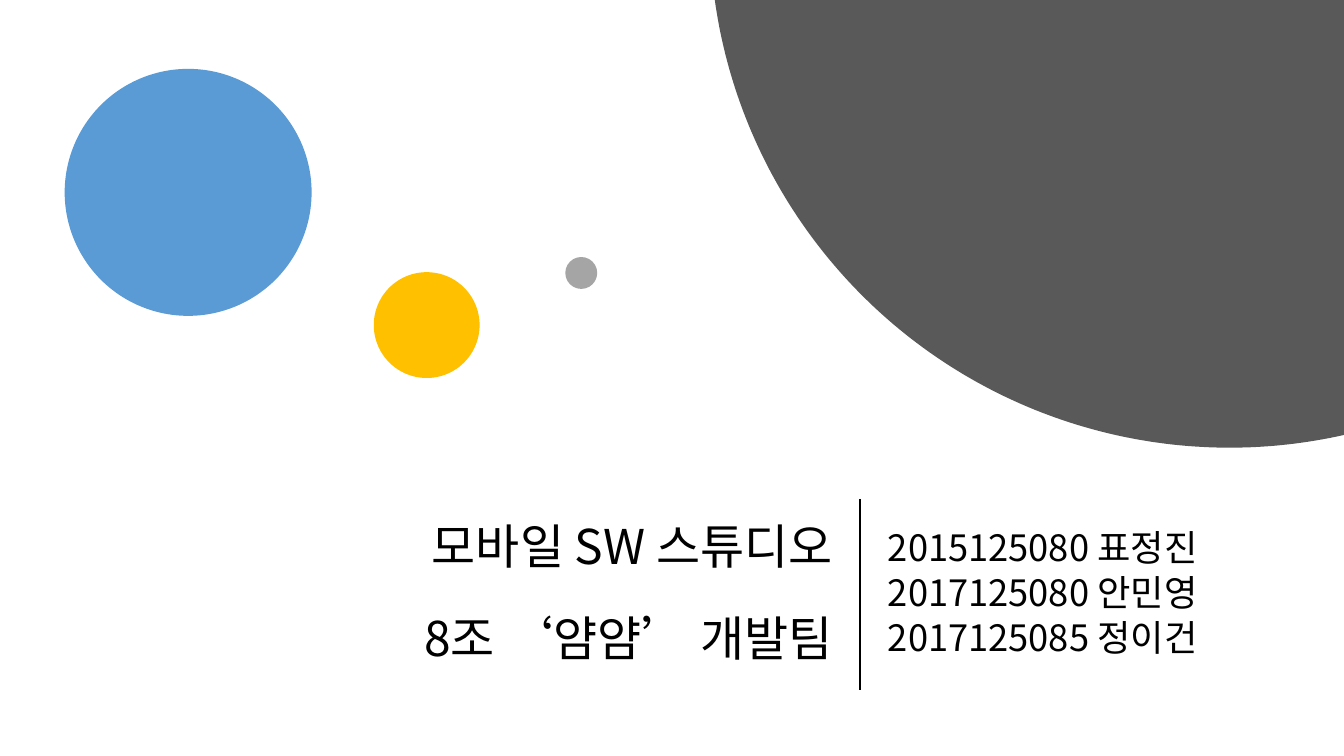
"""Builds the title slide of the mobile software studio team."""
from dataclasses import dataclass
from math import acos, asin, cos, sin

from lxml.etree import SubElement
from pptx import Presentation
from pptx.dml.color import RGBColor
from pptx.enum.shapes import MSO_CONNECTOR, MSO_SHAPE
from pptx.enum.text import MSO_ANCHOR, MSO_AUTO_SIZE, PP_ALIGN
from pptx.oxml.ns import qn
from pptx.util import Inches, Pt

COLUMNS, ROWS = 160, 90


@dataclass(frozen=True)
class Theme:
    font: str = "Noto Sans CJK KR"
    ink: str = "000000"
    blue: str = "5B9BD5"
    yellow: str = "FFC000"
    silver: str = "A5A5A5"
    charcoal: str = "595959"
    title_size: float = 34.2
    member_size: float = 25.9
    rule_width: float = 1.5


def write_paragraph(paragraph, text, *, font, size, color, align, before=0):
    paragraph.alignment = align
    paragraph.line_spacing = 0.9
    paragraph.space_before = Pt(before)
    span = paragraph.add_run()
    span.text = text
    span.font.name = font
    span.font.size = Pt(size)
    span.font.color.rgb = RGBColor.from_string(color)
    SubElement(span.font._element, qn("a:ea"), typeface=font)


class Page:
    def __init__(self, deck, theme):
        self.theme = theme
        self.slide = deck.slides.add_slide(deck.slide_layouts[0])
        self.column = deck.slide_width / COLUMNS
        self.row = deck.slide_height / ROWS

    def point(self, column, row):
        return round(column * self.column), round(row * self.row)

    def paint(self, shape, color):
        shape.shadow.inherit = False
        shape.fill.solid()
        shape.fill.fore_color.rgb = RGBColor.from_string(color)
        shape.line.fill.background()

    def text(self, box, lines, place, *, size, align, gap):
        box.left, box.top = self.point(*place[:2])
        box.width, box.height = self.point(*place[2:])
        frame = box.text_frame
        frame.word_wrap = True
        frame.auto_size = MSO_AUTO_SIZE.NONE
        frame.vertical_anchor = MSO_ANCHOR.MIDDLE
        for index, line in enumerate(lines):
            paragraph = frame.add_paragraph() if index else frame.paragraphs[0]
            write_paragraph(paragraph, line, font=self.theme.font, size=size,
                            color=self.theme.ink, align=align,
                            before=gap if index else 0)

    def circle(self, left, top, diameter, color):
        circle = self.slide.shapes.add_shape(
            MSO_SHAPE.OVAL, *self.point(left, top),
            *self.point(diameter, diameter))
        self.paint(circle, color)

    def corner_disc(self, center_column, center_row, radius, color, steps=120):
        start = acos((COLUMNS - center_column) / radius)
        end = acos(-1) - asin(-center_row / radius)
        angles = [start + (end - start) * step / steps
                  for step in range(steps + 1)]
        arc = [self.point(center_column + radius * cos(angle),
                          center_row + radius * sin(angle))
               for angle in angles]
        builder = self.slide.shapes.build_freeform(*self.point(COLUMNS, 0))
        builder.add_line_segments(arc, close=True)
        self.paint(builder.convert_to_shape(), color)

    def rule(self, column, top, bottom):
        rule = self.slide.shapes.add_connector(
            MSO_CONNECTOR.STRAIGHT, *self.point(column, top),
            *self.point(column, bottom))
        rule.line.color.rgb = RGBColor.from_string(self.theme.ink)
        rule.line.width = Pt(self.theme.rule_width)
        SubElement(rule._element.spPr, qn("a:effectLst"))


def main():
    deck = Presentation()
    deck.slide_width, deck.slide_height = Inches(13.33), Inches(7.5)
    theme = Theme()
    page = Page(deck, theme)
    title, members = page.slide.placeholders

    page.text(title, ["모바일 SW 스튜디오", "8조 ‘얌얌’ 개발팀"],
              (11, 62, 89.3, 17.6), size=theme.title_size,
              align=PP_ALIGN.RIGHT, gap=29)
    page.text(members,
              ["2015125080 표정진", "2017125080 안민영", "2017125085 정이건"],
              (104.5, 59.4, 42.7, 22.8), size=theme.member_size,
              align=PP_ALIGN.LEFT, gap=4)

    for left, top, diameter, color in [(7.7, 8.2, 29.4, theme.blue),
                                       (44.5, 32.4, 12.6, theme.yellow),
                                       (67.3, 30.6, 3.8, theme.silver)]:
        page.circle(left, top, diameter, color)
    page.corner_disc(146.4, -8.6, 61.9, theme.charcoal)
    page.rule(102.4, 59.4, 82.2)
    deck.save("out.pptx")


main()
